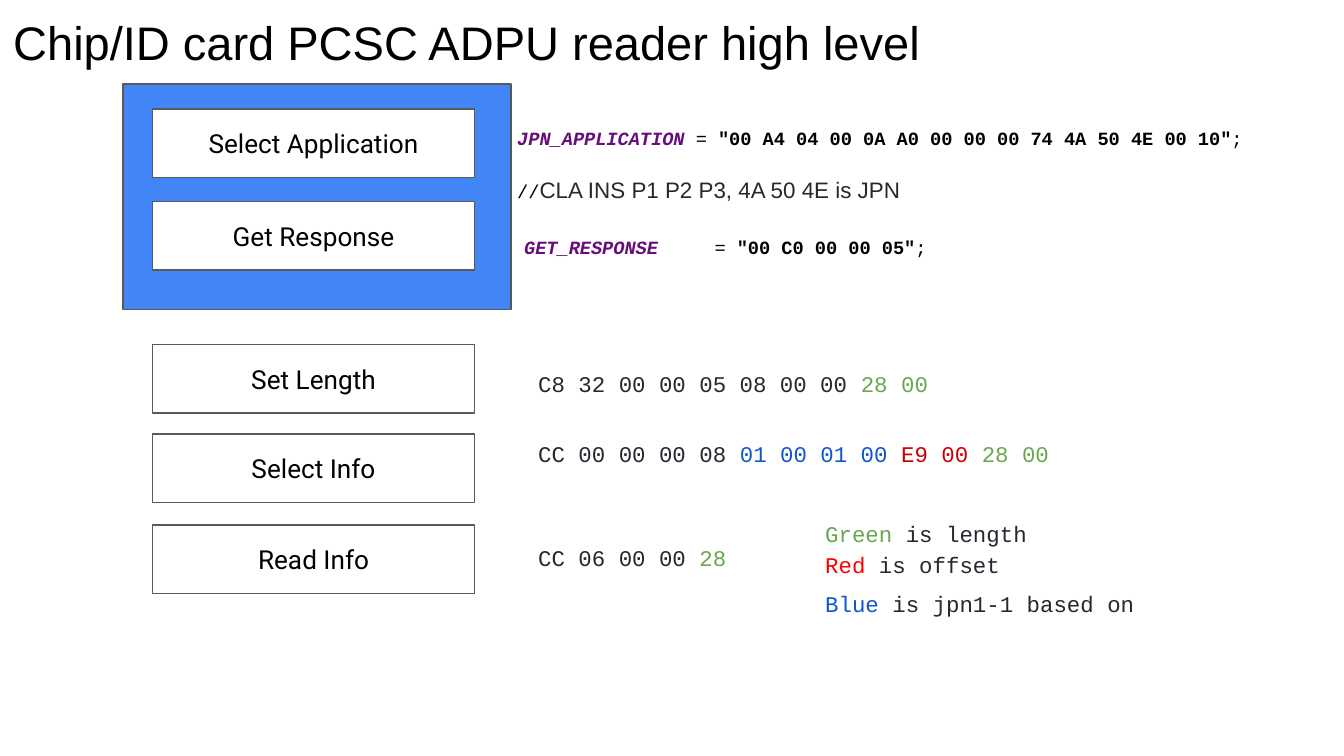
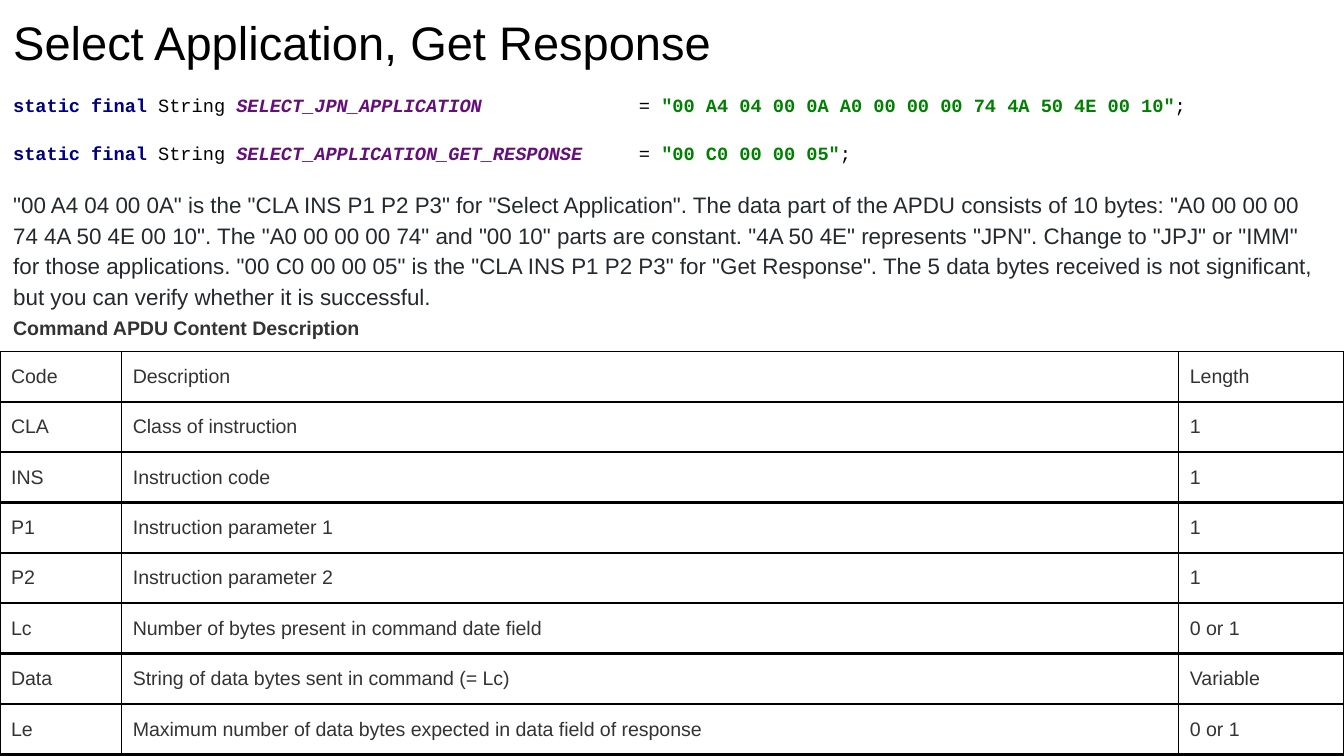
"""Builds two slides on the card reader commands and their APDU fields."""
from dataclasses import dataclass
from lxml.etree import SubElement
from pptx import Presentation
from pptx.dml.color import RGBColor
from pptx.enum.shapes import MSO_SHAPE
from pptx.enum.text import MSO_ANCHOR, PP_ALIGN
from pptx.oxml import parse_xml
from pptx.oxml.ns import nsdecls, qn
from pptx.util import Pt

PX = 9525


@dataclass(frozen=True)
class Theme:
    sans: str = "Arial"
    mono: str = "Courier New"
    label: str = "Roboto"
    title: float = 25.2
    step: float = 14
    body: float = 12
    cell: float = 10.5
    code: float = 10
    black: str = "000000"
    white: str = "FFFFFF"
    panel: str = "4285F4"
    edge: str = "595959"
    ink: str = "24292F"
    gray: str = "333333"
    name: str = "660E7A"
    key: str = "000080"
    value: str = "008000"
    green: str = "6AA84F"
    blue: str = "1155CC"
    red: str = "CC0000"
    bright: str = "FF0000"


T = Theme()


def frame(slide, *box):
    text = slide.shapes.add_textbox(*(n * PX for n in box)).text_frame
    text.word_wrap = True
    text.margin_left = text.margin_right = Pt(7.2)
    text.margin_top = text.margin_bottom = Pt(7.2)
    return text


def write(para, runs, size, face, line=1.15, tab=None):
    para.line_spacing = line
    if tab:
        stops = SubElement(para._p.get_or_add_pPr(), qn("a:tabLst"))
        SubElement(stops, qn("a:tab"), pos=str(tab * PX), algn="l")
    para.font.size, para.font.name = Pt(size), face
    for words, color, *marks in runs:
        run = para.add_run()
        run.text = words
        font = para.font if len(runs) == 1 else run.font
        font.color.rgb = RGBColor.from_string(color)
        font.bold = "b" in marks
        font.italic = "i" in marks


deck = Presentation()
deck.slide_width, deck.slide_height = 960 * PX, 540 * PX
slides = []
for head in ("Chip/ID card PCSC ADPU reader high level", "Select Application, Get Response"):
    slide = deck.slides.add_slide(deck.slide_layouts[6])
    write(frame(slide, 0, 0, 895, 60).paragraphs[0], [(head, T.black)], T.title, T.sans, 1.0)
    slides.append(slide)
flow, detail = slides

rects = [
    (88, 60, 277, 161, T.panel, ""),
    (109, 78, 230, 49, T.white, "Select Application"),
    (109, 144, 230, 49, T.white, "Get Response"),
    (109, 246, 230, 49, T.white, "Set Length"),
    (109, 310, 230, 49, T.white, "Select Info"),
    (109, 375, 230, 49, T.white, "Read Info"),
]
for *box, fill, label in rects:
    rect = flow.shapes.add_shape(MSO_SHAPE.RECTANGLE, *(n * PX for n in box))
    rect.shadow.inherit = False
    rect.fill.solid()
    rect.fill.fore_color.rgb = RGBColor.from_string(fill)
    rect.line.color.rgb = RGBColor.from_string(T.edge)
    rect.line.width = Pt(0.75)
    if label:
        rect.text_frame.vertical_anchor = MSO_ANCHOR.MIDDLE
        para = rect.text_frame.paragraphs[0]
        para.alignment = PP_ALIGN.CENTER
        write(para, [(label, T.black)], T.step, T.label, 1.0)

select = frame(flow, 360, 79, 582, 74)
write(select.paragraphs[0], [
    ("JPN_APPLICATION ", T.name, "b", "i"),
    ("= ", T.black),
    ('"00 A4 04 00 0A A0 00 00 00 74 4A 50 4E 00 10"', T.black, "b"),
    (";", T.black),
], T.code, T.mono)
note = select.add_paragraph()
note.space_before = note.space_after = Pt(12)
write(note, [("//", T.black), ("CLA INS P1 P2 P3, 4A 50 4E is JPN", T.ink)], T.body, T.sans)
slash = note.runs[0].font
slash.size, slash.name = Pt(T.code), T.mono

reply = frame(flow, 365, 157, 572, 36)
write(reply.paragraphs[0], [
    ("GET_RESPONSE\t", T.name, "b", "i"),
    ("= ", T.black),
    ('"00 C0 00 00 05"', T.black, "b"),
    (";", T.black),
], T.code, T.mono, tab=136)

bytes_rows = [
    (252, 315, [("C8 32 00 00 05 08 00 00 ", T.ink), ("28 00", T.green)]),
    (302, 433, [("CC 00 00 00 08 ", T.ink), ("01 00 01 00 ", T.blue),
                ("E9 00 ", T.red), ("28 00", T.green)]),
    (376, 336, [("CC 06 00 00 ", T.ink), ("28", T.green)]),
]
for top, width, runs in bytes_rows:
    write(frame(flow, 375, top, width, 38).paragraphs[0], runs, T.body, T.mono)

legend = frame(flow, 580, 359, 315, 84)
keys = [
    ("Green", T.green, " is length", 1.15),
    ("Red", T.bright, " is offset", 1.15),
    ("Blue", T.blue, " is jpn1-1 based on", 1.45),
]
for i, (word, color, rest, line) in enumerate(keys):
    para = legend.add_paragraph() if i else legend.paragraphs[0]
    write(para, [(word, color), (rest, T.ink)], T.body, T.mono, line)

body = frame(detail, 0, 55, 960, 359)
consts = [
    ("SELECT_JPN_APPLICATION", '"00 A4 04 00 0A A0 00 00 00 74 4A 50 4E 00 10"'),
    ("SELECT_APPLICATION_GET_RESPONSE", '"00 C0 00 00 05"'),
]
for i, (name, value) in enumerate(consts):
    para = body.add_paragraph() if i else body.paragraphs[0]
    para.space_before = Pt(12 * i)
    write(para, [
        ("static final ", T.key, "b"),
        ("String ", T.black),
        (name + "\t", T.name, "b", "i"),
        ("= ", T.black),
        (value, T.value, "b"),
        (";", T.black),
    ], T.code, T.mono, tab=447)
para = body.add_paragraph()
para.space_before = Pt(12)
write(para, [(
    '"00 A4 04 00 0A" is the "CLA INS P1 P2 P3" for "Select Application". '
    'The data part of the APDU consists of 10 bytes: "A0 00 00 00 74 4A 50 4E 00 10". '
    'The "A0 00 00 00 74" and "00 10" parts are constant. "4A 50 4E" represents "JPN". '
    'Change to "JPJ" or "IMM" for those applications. '
    '"00 C0 00 00 05" is the "CLA INS P1 P2 P3" for "Get Response". '
    'The 5 data bytes received is not significant, but you can verify whether it is successful.',
    T.ink)], T.body, T.sans)

rows = [
    ("Code", "Description", "Length"),
    ("CLA", "Class of instruction", "1"),
    ("INS", "Instruction code", "1"),
    ("P1", "Instruction parameter 1", "1"),
    ("P2", "Instruction parameter 2", "1"),
    ("Lc", "Number of bytes present in command date field", "0 or 1"),
    ("Data", "String of data bytes sent in command (= Lc)", "Variable"),
    ("Le", "Maximum number of data bytes expected in data field of response", "0 or 1"),
]
table = detail.shapes.add_table(len(rows), 3, 0, 251 * PX, 960 * PX, 288 * PX).table
for col, width in zip(table.columns, (87, 755, 118)):
    col.width = width * PX
for r, row in enumerate(rows):
    table.rows[r].height = 36 * PX
    for c, words in enumerate(row):
        cell = table.cell(r, c)
        cell.margin_left = cell.margin_right = 8 * PX
        cell.margin_top = cell.margin_bottom = 8 * PX
        cell.fill.solid()
        cell.fill.fore_color.rgb = RGBColor.from_string(T.white)
        para = cell.text_frame.paragraphs[0]
        para.alignment = PP_ALIGN.JUSTIFY
        write(para, [(words, T.gray)], T.cell, T.sans)
        sides = {"L": 0.75, "R": 0.75, "T": 1.5 if r else 0.75, "B": 1.5}
        for i, (side, width) in enumerate(sides.items()):
            cell._tc.get_or_add_tcPr().insert(i, parse_xml(
                f'<a:ln{side} {nsdecls("a")} w="{Pt(width)}"><a:solidFill>'
                f'<a:srgbClr val="{T.black}"/></a:solidFill></a:ln{side}>'))

title = frame(detail, 0, 217, 315, 34)
title.vertical_anchor = MSO_ANCHOR.MIDDLE
write(title.paragraphs[0], [("Command APDU Content Description", T.gray, "b")], T.cell, T.sans, 1.0)

deck.save("out.pptx")
